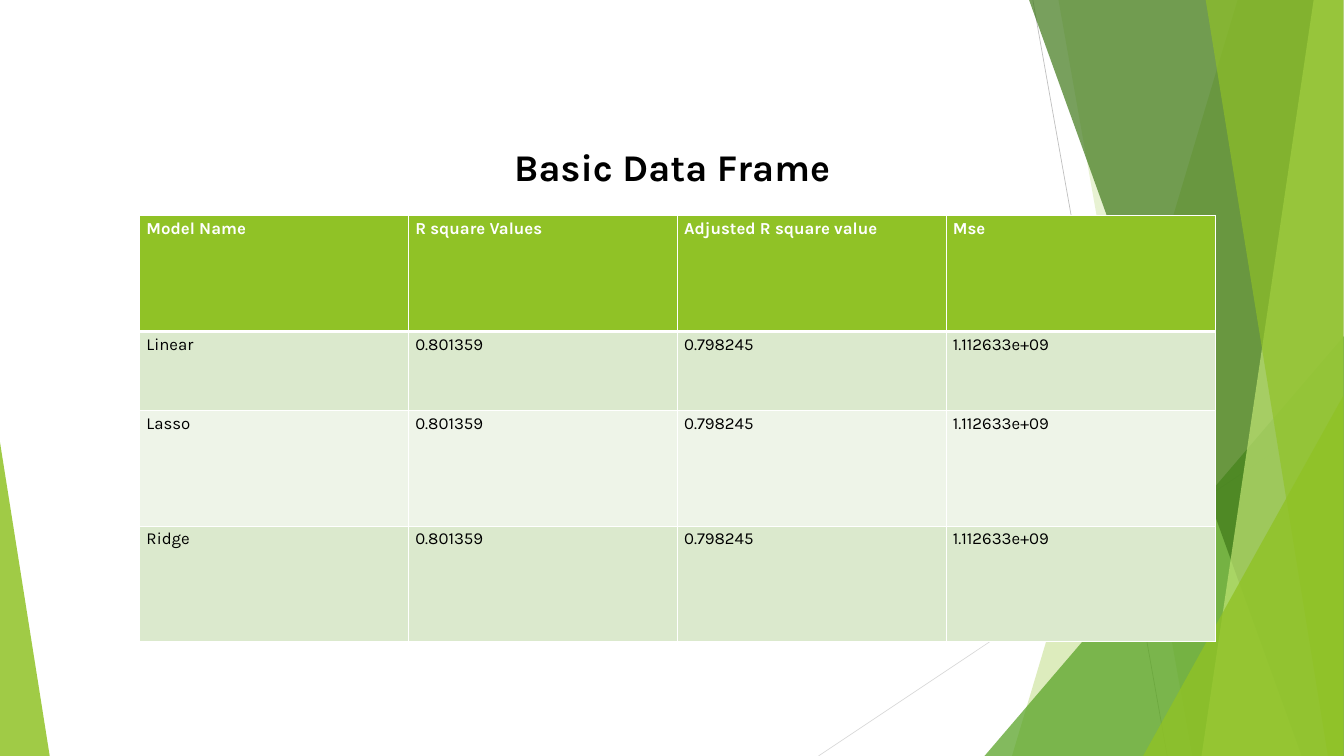
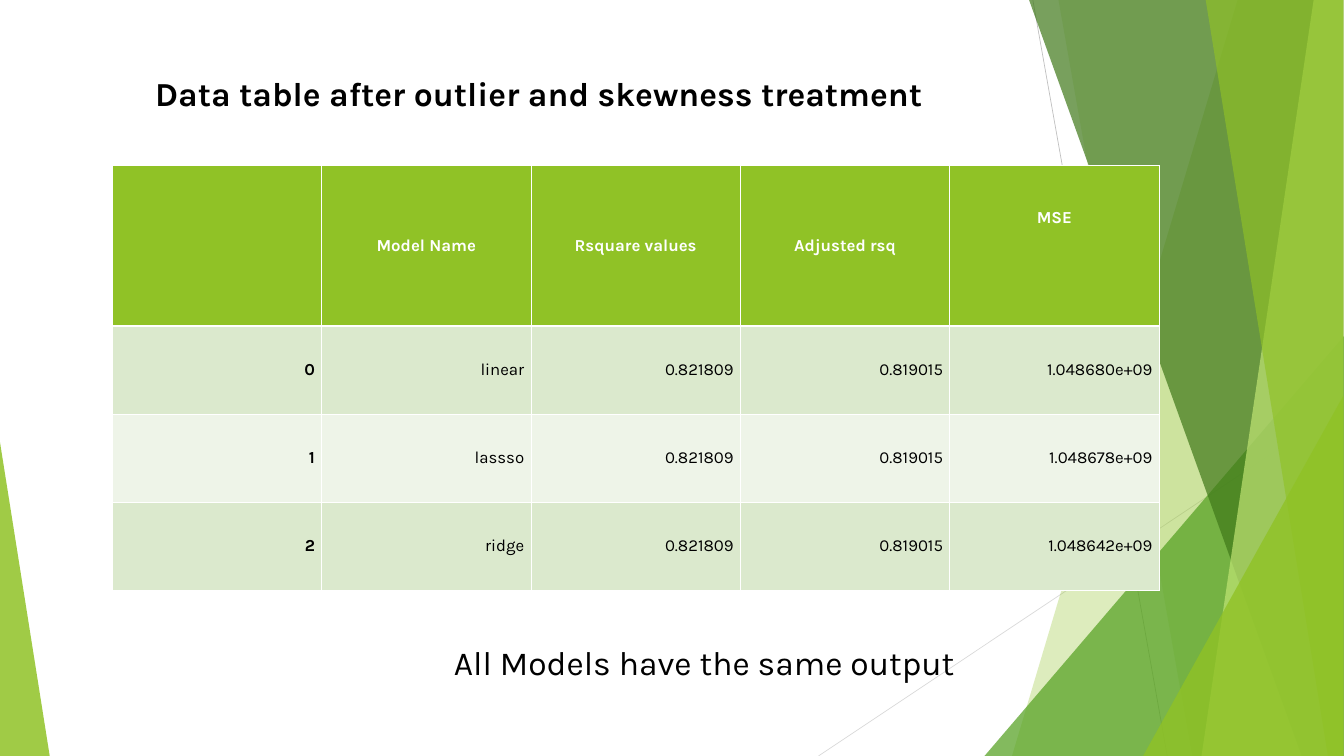
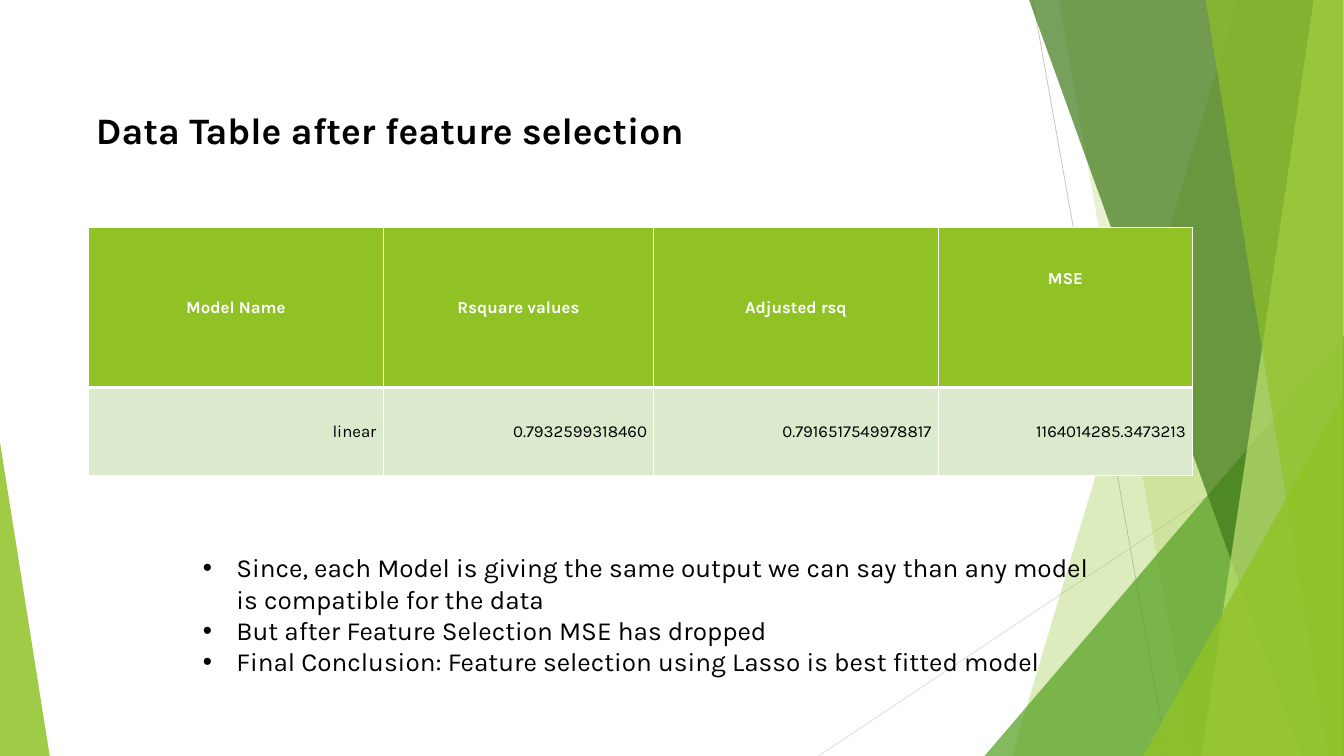
from dataclasses import dataclass

from lxml import etree
from pptx import Presentation
from pptx.dml.color import RGBColor
from pptx.enum.shapes import MSO_CONNECTOR, MSO_SHAPE
from pptx.enum.text import MSO_ANCHOR, MSO_AUTO_SIZE, PP_ALIGN
from pptx.oxml.ns import qn
from pptx.slide import Slide
from pptx.table import _Cell
from pptx.util import Inches, Pt

WHITE = RGBColor(0xFF, 0xFF, 0xFF)
BLACK = RGBColor(0x00, 0x00, 0x00)
LIME = RGBColor(0x90, 0xC2, 0x26)
LEAF = RGBColor(0x54, 0xA0, 0x21)
FOREST = RGBColor(0x3F, 0x78, 0x19)
PALE_LIME = RGBColor(0xC0, 0xE4, 0x74)
BAND_DARK = RGBColor(0xDB, 0xE9, 0xCD)
BAND_LIGHT = RGBColor(0xEE, 0xF4, 0xE8)
GREY = RGBColor(0xBF, 0xBF, 0xBF)
LIGHT_GREY = RGBColor(0xD9, 0xD9, 0xD9)
FONT = "Karla"
LEFT, CENTER, RIGHT = PP_ALIGN.LEFT, PP_ALIGN.CENTER, PP_ALIGN.RIGHT
TOP, MIDDLE = MSO_ANCHOR.TOP, MSO_ANCHOR.MIDDLE
FIT_SHAPE = MSO_AUTO_SIZE.SHAPE_TO_FIT_TEXT
STRAIGHT = MSO_CONNECTOR.STRAIGHT
TRIANGLE = MSO_SHAPE.ISOSCELES_TRIANGLE
SLIDE_W, SLIDE_H = 20, 11.25
BLEED_TOP, BLEED_RIGHT = -0.01, 19.99


@dataclass(frozen=True)
class Ray:
    start: tuple[float, float]
    end: tuple[float, float]
    color: RGBColor


@dataclass(frozen=True)
class Shard:
    top_left: float
    bottom_left: float
    color: RGBColor
    opacity: int


@dataclass(frozen=True)
class Wedge:
    box: tuple[float, float, float, float]
    apex: float
    color: RGBColor
    opacity: int


@dataclass(frozen=True)
class TextBlock:
    box: tuple[float, float, float, float]
    lines: tuple[str, ...]
    size: float
    bold: bool = False
    align: PP_ALIGN = LEFT
    bullets: bool = False
    inset: bool = True
    spacing: float | None = None


@dataclass(frozen=True)
class ResultTable:
    left: float
    top: float
    cols: tuple[float, ...]
    heights: tuple[float, ...]
    rows: tuple[tuple[str, ...], ...]
    header_align: PP_ALIGN = CENTER
    body_align: PP_ALIGN = RIGHT
    anchor: MSO_ANCHOR = MIDDLE
    bold_index: bool = False
    last_header_drop: float | None = None


DECOR = (
    Ray((15.37, 0), (17.37, SLIDE_H), GREY),
    Ray((BLEED_RIGHT, 6.04), (12.18, SLIDE_H), LIGHT_GREY),
    Shard(18.42, 15.06, LIME, 30),
    Shard(15.75, 17.74, LIME, 20),
    Wedge((14.65, 5, 5.35, 6.25), 1, LEAF, 72),
    Shard(15.31, 19.37, FOREST, 70),
    Shard(19.55, 17.88, PALE_LIME, 70),
    Shard(17.94, 19.76, LIME, 65),
    Wedge((17.01, 5.89, 2.98, 5.36), 1, LIME, 80),
    Wedge((0, 6.58, 0.74, 4.67), 0, LIME, 85),
)

BASIC_SCORES = ("0.801359", "0.798245", "1.112633e+09")
TREATED_SCORES = ("0.821809", "0.819015")
HEADERS = ("Model Name", "Rsquare values", "Adjusted rsq", "MSE")

SLIDES = (
    (
        TextBlock((5.91, 2.03, 8.19, 0.75), ("Basic Data Frame",), 40.4, bold=True,
                  align=CENTER, inset=False, spacing=56.5),
        ResultTable(
            2.08, 3.21, (4,) * 4, (1.72, 1.18, 1.72, 1.72),
            (("Model Name", "R square Values", "Adjusted R square value", "Mse"),
             *((name, *BASIC_SCORES) for name in ("Linear", "Lasso", "Ridge"))),
            header_align=LEFT, body_align=LEFT, anchor=TOP),
    ),
    (
        ResultTable(
            1.67, 2.46, (15.58 / 5,) * 5, (2.39, 1.31, 1.31, 1.31),
            (("", *HEADERS),
             ("0", "linear", *TREATED_SCORES, "1.048680e+09"),
             ("1", "lassso", *TREATED_SCORES, "1.048678e+09"),
             ("2", "ridge", *TREATED_SCORES, "1.048642e+09")),
            bold_index=True, last_header_drop=0.63),
        TextBlock((2.21, 1.04, 12.54, 0.71),
                  ("Data table after outlier and skewness treatment",), 36, bold=True),
        TextBlock((4.33, 9.5, 12.42, 0.71), ("All Models have the same output ",), 36,
                  align=CENTER),
    ),
    (
        TextBlock((1.33, 1.54, 11.92, 0.77), ("Data Table after feature selection",), 40,
                  bold=True),
        ResultTable(
            1.32, 3.38, (4.38, 4.03, 4.23, 3.79), (2.39, 1.31),
            (HEADERS,
             ("linear", "0.7932599318460", "0.7916517549978817", "1164014285.3473213")),
            last_header_drop=0.63),
        TextBlock(
            (2.92, 8.16, 13.5, 2.46),
            ("Since, each Model is giving the same output we can say than any model "
             "is compatible for the data",
             "But after Feature Selection MSE has dropped",
             "Final Conclusion: Feature selection using Lasso is best fitted model"),
            28, bullets=True),
    ),
)


def style_fill(sp, color: RGBColor, opacity: int) -> None:
    sp.shadow.inherit = False
    sp.fill.solid()
    sp.fill.fore_color.rgb = color
    sp.line.fill.background()
    clr = sp._element.spPr.find(qn("a:solidFill")).find(qn("a:srgbClr"))
    etree.SubElement(clr, qn("a:alpha"), val=str(opacity * 1000))


def draw_ray(s: Slide, ray: Ray) -> None:
    points = (Inches(v) for v in ray.start + ray.end)
    line = s.shapes.add_connector(STRAIGHT, *points)
    line.line.color.rgb = ray.color
    line.line.width = Pt(0.75)
    etree.SubElement(line._element.spPr, qn("a:effectLst"))


def draw_shard(s: Slide, shard: Shard) -> None:
    builder = s.shapes.build_freeform(Inches(shard.top_left), Inches(BLEED_TOP))
    corners = ((BLEED_RIGHT, BLEED_TOP), (BLEED_RIGHT, SLIDE_H), (shard.bottom_left, SLIDE_H))
    builder.add_line_segments([(Inches(x), Inches(y)) for x, y in corners], close=True)
    style_fill(builder.convert_to_shape(), shard.color, shard.opacity)


def draw_wedge(s: Slide, wedge: Wedge) -> None:
    sp = s.shapes.add_shape(TRIANGLE, *(Inches(v) for v in wedge.box))
    sp.adjustments[0] = wedge.apex
    style_fill(sp, wedge.color, wedge.opacity)


def set_font(p, size: float, bold: bool, color: RGBColor) -> None:
    p.font.name = FONT
    p.font.size = Pt(size)
    p.font.bold = bold
    p.font.color.rgb = color


def add_bullet(p) -> None:
    pPr = p._p.get_or_add_pPr()
    pPr.set("marL", str(Inches(0.5)))
    pPr.set("indent", str(Inches(-0.5)))
    font = etree.Element(qn("a:buFont"), typeface="Arial")
    char = etree.Element(qn("a:buChar"), char="•")
    pPr.insert(0, font)
    font.addnext(char)


def draw_text(s: Slide, block: TextBlock) -> None:
    tf = s.shapes.add_textbox(*(Inches(v) for v in block.box)).text_frame
    tf.word_wrap = True
    tf.auto_size = FIT_SHAPE
    if not block.inset:
        tf.margin_left = tf.margin_top = tf.margin_right = tf.margin_bottom = 0
    for i, line in enumerate(block.lines):
        p = tf.add_paragraph() if i else tf.paragraphs[0]
        p.text = line
        p.alignment = block.align
        set_font(p, block.size, block.bold, BLACK)
        if block.spacing:
            p.line_spacing = Pt(block.spacing)
        if block.bullets:
            add_bullet(p)


def set_borders(cell: _Cell, top: float, bottom: float) -> None:
    tcPr = cell._tc.get_or_add_tcPr()
    sides = (("a:lnL", 1), ("a:lnR", 1), ("a:lnT", top), ("a:lnB", bottom))
    for i, (tag, width) in enumerate(sides):
        ln = etree.Element(qn(tag), w=str(Pt(width)))
        fill = etree.SubElement(ln, qn("a:solidFill"))
        etree.SubElement(fill, qn("a:srgbClr"), val=str(WHITE))
        tcPr.insert(i, ln)


def draw_table(s: Slide, spec: ResultTable) -> None:
    frame = s.shapes.add_table(
        len(spec.rows), len(spec.cols), Inches(spec.left), Inches(spec.top),
        Inches(sum(spec.cols)), Inches(sum(spec.heights)))
    table = frame.table
    for col, width in zip(table.columns, spec.cols):
        col.width = Inches(width)
    for row, height in zip(table.rows, spec.heights):
        row.height = Inches(height)
    for i, values in enumerate(spec.rows):
        header = i == 0
        band = LIME if header else BAND_DARK if i % 2 else BAND_LIGHT
        for j, value in enumerate(values):
            cell = table.cell(i, j)
            cell.text = value
            cell.vertical_anchor = spec.anchor
            cell.fill.solid()
            cell.fill.fore_color.rgb = band
            set_borders(cell, top=3 if i == 1 else 1, bottom=3 if header else 1)
            p = cell.text_frame.paragraphs[0]
            p.alignment = spec.header_align if header else spec.body_align
            bold = header or (spec.bold_index and j == 0)
            set_font(p, 18, bold, WHITE if header else BLACK)
    if spec.last_header_drop:
        cell = table.cell(0, len(spec.cols) - 1)
        cell.vertical_anchor = TOP
        cell.margin_top = Inches(spec.last_header_drop)


DRAWERS = {
    Ray: draw_ray,
    Shard: draw_shard,
    Wedge: draw_wedge,
    TextBlock: draw_text,
    ResultTable: draw_table,
}


def main() -> None:
    prs = Presentation()
    prs.slide_width = Inches(SLIDE_W)
    prs.slide_height = Inches(SLIDE_H)
    for content in SLIDES:
        s = prs.slides.add_slide(prs.slide_layouts[6])
        for item in DECOR + content:
            DRAWERS[type(item)](s, item)
    prs.save("out.pptx")


if __name__ == "__main__":
    main()
